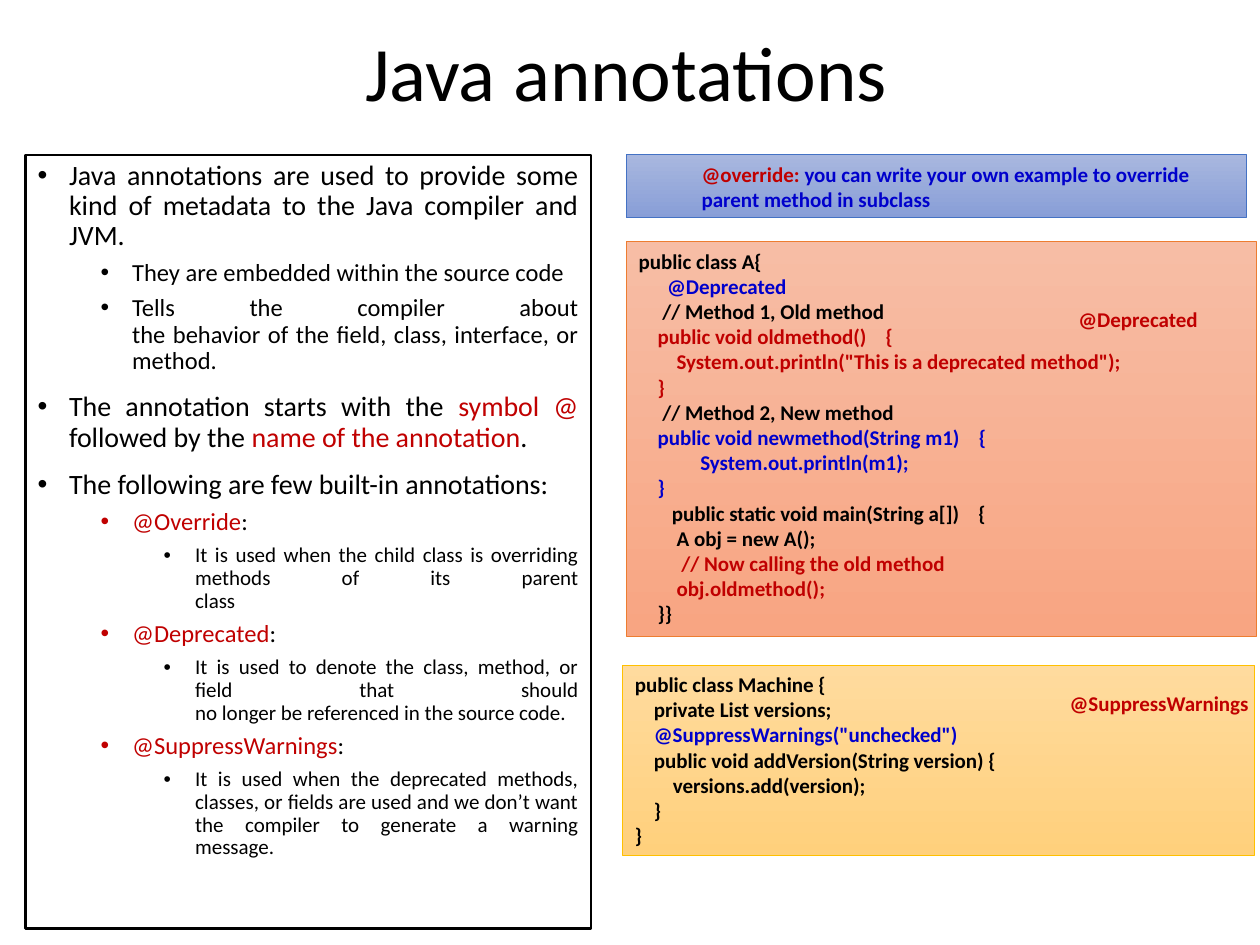
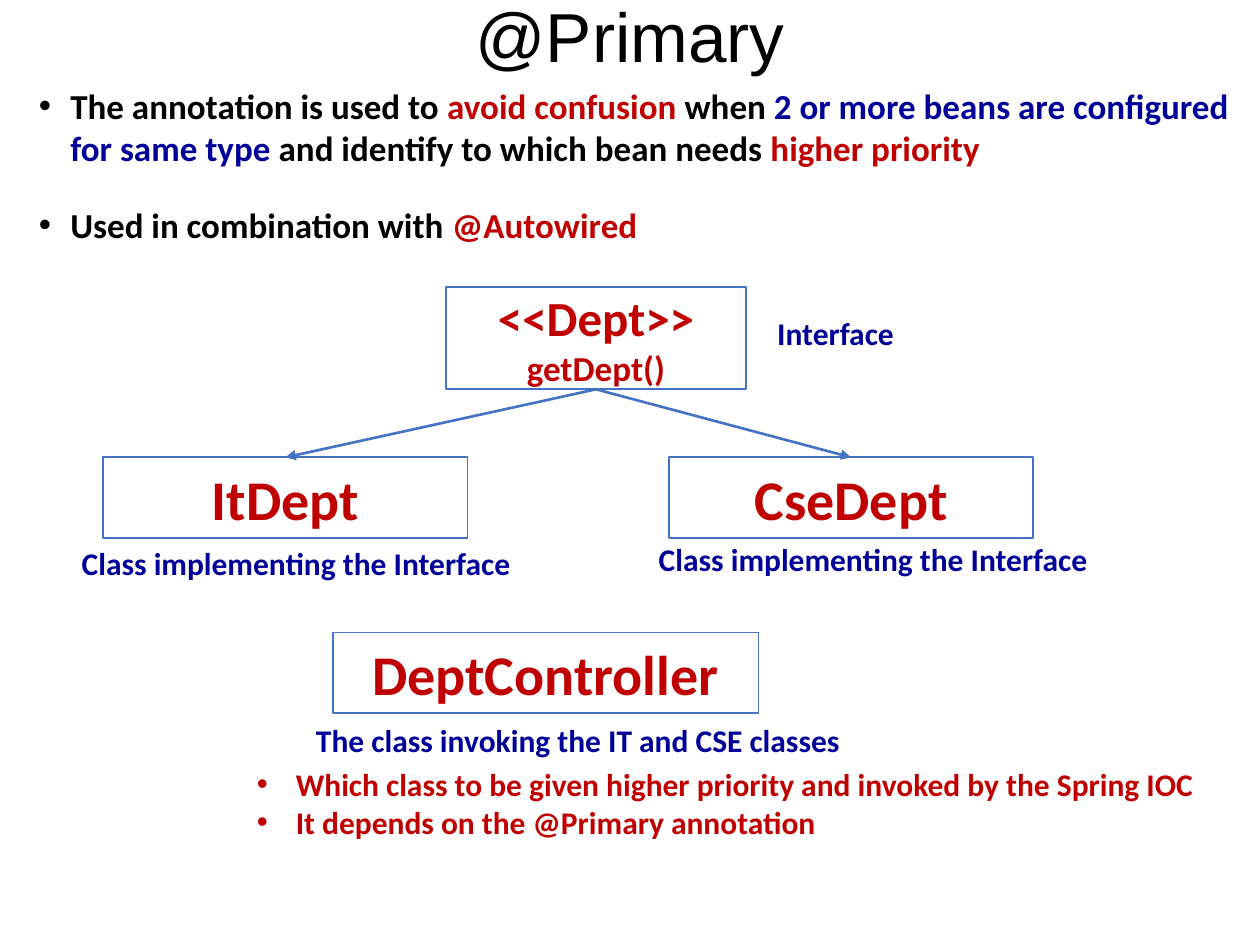
from dataclasses import dataclass
from lxml.etree import SubElement
from pptx import Presentation
from pptx.dml.color import RGBColor
from pptx.enum.shapes import MSO_CONNECTOR, MSO_SHAPE
from pptx.enum.text import MSO_ANCHOR, PP_ALIGN
from pptx.oxml.ns import qn
from pptx.util import Inches, Pt


@dataclass(frozen=True)
class Theme:
    font: str = "Calibri"
    black: str = "000000"
    white: str = "FFFFFF"
    red: str = "C00000"
    blue: str = "0000CC"
    navy: str = "000099"
    edge: str = "4472C4"
    sky: tuple = ("A8B7DF", "889ED7", "4472C4")
    coral: tuple = ("F7BDA5", "F8A582", "ED7D31")
    gold: tuple = ("FFDB9E", "FFD07C", "FFC000")
    levels: tuple = (16, 14, 12)
    code: int = 12
    note: int = 18
    lead: int = 20
    top: int = 28
    node: int = 32
    space: float = 0.0377  # width of one code space, inches


T = Theme()
K, R, B, N = T.black, T.red, T.blue, T.navy


# Shared text and shape helpers
def write(par, runs, size, bold=False, align=PP_ALIGN.LEFT, font=T.font):
    """Fill a paragraph; a newline in a run is a line break, a bar a wide gap."""
    par.alignment = align
    par.font.name, par.font.size, par.font.bold = font, Pt(size), bold
    if len({ink for _, ink in runs}) == 1:
        par.font.color.rgb = RGBColor.from_string(runs[0][1])
    for text, ink in runs:
        for i, line in enumerate(text.split("\n")):
            if i:
                par.add_line_break()
            for j, part in enumerate(line.split("|")):
                if j:
                    gap = par.add_run()
                    gap.text = " "
                    gap.font.size = Pt(size)
                    gap.font._element.set("spc", "800")
                run = par.add_run()
                run.text = part
                run.font.name, run.font.size, run.font.bold = font, Pt(size), bold
                run.font.color.rgb = RGBColor.from_string(ink)


def indent(par, left, hang=0.0):
    props = par._p.get_or_add_pPr()
    props.set("marL", str(Inches(left)))
    props.set("indent", str(-Inches(hang)))
    if hang:
        SubElement(props, qn("a:buFont")).set("typeface", "Arial")
        SubElement(props, qn("a:buChar")).set("char", "•")


def pars(frame, count):
    return [frame.paragraphs[0]] + [frame.add_paragraph() for _ in range(count - 1)]


def area(slide, box):
    frame = slide.shapes.add_textbox(*map(Inches, box)).text_frame
    frame.word_wrap = True
    return frame


def panel(slide, box, edge, width, fill=None, anchor=MSO_ANCHOR.TOP):
    """Rectangle with no fill, one colour, or a top-to-bottom gradient."""
    shape = slide.shapes.add_shape(MSO_SHAPE.RECTANGLE, *map(Inches, box))
    shape.shadow.inherit = False
    shape.line.color.rgb = RGBColor.from_string(edge)
    shape.line.width = Pt(width)
    if fill is None:
        shape.fill.background()
    elif isinstance(fill, str):
        shape.fill.solid()
        shape.fill.fore_color.rgb = RGBColor.from_string(fill)
    else:
        shape.fill.gradient()
        shape.fill.gradient_angle = 270
        for stop, ink in zip(shape.fill.gradient_stops, fill):
            stop.color.rgb = RGBColor.from_string(ink)
    shape.text_frame.word_wrap = True
    shape.text_frame.vertical_anchor = anchor
    return shape


def title(slide, box, text, size, font=T.font):
    frame = area(slide, box)
    frame.vertical_anchor = MSO_ANCHOR.MIDDLE
    par = frame.paragraphs[0]
    par.line_spacing = 0.9
    write(par, [(text, K)], size, align=PP_ALIGN.CENTER, font=font)


def label(slide, box, text, ink, size, left=0.0):
    par = area(slide, box).paragraphs[0]
    indent(par, left)
    write(par, [(text, ink)], size, True)


# Slide 1: outline on the left, code on the right
OUTLINE = [
    (0, [("Java annotations are used to provide some kind of metadata to the "
          "Java compiler and JVM.", K)]),
    (1, [("They are embedded within the source code", K)]),
    (1, [("Tells the compiler about\nthe behavior of the field, class, "
          "interface, or method.", K)]),
    (0, [("The annotation starts with the ", K), ("symbol @", R),
         (" followed by the ", K), ("name of the annotation", R), (".", K)]),
    (0, [("The following are few built-in annotations:", K)]),
    (1, [("@Override", R), (":", K)]),
    (2, [("It is used when the child class is overriding methods of its "
          "parent\nclass", K)]),
    (1, [("@Deprecated", R), (":", K)]),
    (2, [("It is used to denote the class, method, or field that should\n"
          "no longer be referenced in the source code.", K)]),
    (1, [("@SuppressWarnings", R), (":", K)]),
    (2, [("It is used when the deprecated methods, classes, or fields are used "
          "and we don’t want the compiler to generate a warning message.", K)]),
]

# Code lines: indent in spaces, colour, text
OLD = [
    (0, K, "public class A{"),
    (6, B, "@Deprecated"),
    (5, K, "// Method 1, Old method"),
    (4, R, "public void oldmethod()|{"),
    (8, R, 'System.out.println("This is a deprecated method");'),
    (4, R, "}"),
    (5, K, "// Method 2, New method"),
    (4, B, "public void newmethod(String m1)|{"),
    (13, B, "System.out.println(m1);"),
    (4, B, "}"),
    (7, K, "public static void main(String a[])|{"),
    (8, K, "A obj = new A();"),
    (9, R, "// Now calling the old method"),
    (8, R, "obj.oldmethod();"),
    (4, K, "}}"),
]
MACHINE = [
    (0, K, "public class Machine {"),
    (4, K, "private List versions;"),
    (4, B, '@SuppressWarnings("unchecked")'),
    (4, K, "public void addVersion(String version) {"),
    (8, K, "versions.add(version);"),
    (4, K, "}"),
    (0, K, "}"),
]


def outline(slide, box):
    frame = panel(slide, box, K, 1.5).text_frame
    for par, (level, runs) in zip(pars(frame, len(OUTLINE)), OUTLINE):
        par.level = level
        par.line_spacing = 0.9
        par.space_before = Pt(5 if level else 10)
        indent(par, 0.25 + 0.5 * level, 0.25)
        write(par, runs, T.levels[level], align=PP_ALIGN.JUSTIFY)


def listing(slide, box, look, lines, tag, spot):
    """Code panel with a tag at an offset from the panel's corner."""
    frame = panel(slide, box, look[2], 0.5, look[:2]).text_frame
    for par, (spaces, ink, text) in zip(pars(frame, len(lines)), lines):
        indent(par, spaces * T.space)
        write(par, [(text, ink)], T.code, True)
    x, y, width = spot
    label(slide, (box[0] + x, box[1] + y, width, 0.3), tag, R, T.code, 0.5)


def banner(slide, box):
    par = panel(slide, box, T.sky[2], 0.5, T.sky[:2]).text_frame.paragraphs[0]
    indent(par, 0.5)
    write(par, [("@override: ", R), ("you can write your own example to "
          "override parent method in subclass", B)], T.code, True)


def notes(slide):
    title(slide, (0.47, -0.02, 9, 1.25), "Java annotations", 44)
    outline(slide, (0.2, 1.23, 4.49, 6.14))
    banner(slide, (4.97, 1.23, 4.92, 0.5))
    listing(slide, (4.97, 1.92, 5, 3.13), T.coral, OLD,
            "@Deprecated", (2.99, 0.46, 1.75))
    listing(slide, (4.94, 5.28, 5.02, 1.51), T.gold, MACHINE,
            "@SuppressWarnings", (2.95, 0.15, 2.15))


# Slide 2: lead text, class diagram, closing points
LEAD = [
    [("The annotation is used to ", K), ("avoid confusion ", R), ("when ", K),
     ("2 or more beans are configured for same type ", N),
     ("and identify to which bean needs ", K), ("higher priority", R)],
    [("Used in combination with ", K), ("@Autowired", R)],
]
POINTS = [
    [("Which class to be given higher priority and invoked by the Spring IOC", R)],
    [("It depends on the @Primary annotation", R)],
]


def bullets(slide, box, items, size, hang, gap=0):
    for par, runs in zip(pars(area(slide, box), len(items)), items):
        par.space_before = par.space_after = Pt(gap)
        indent(par, hang, hang)
        write(par, runs, size, True)


def node(slide, box, rows):
    shape = panel(slide, box, T.edge, 1, T.white, MSO_ANCHOR.MIDDLE)
    for par, (text, size) in zip(pars(shape.text_frame, len(rows)), rows):
        write(par, [(text, R)], size, True, PP_ALIGN.CENTER)
    return shape


def arrow(slide, start, end):
    link = slide.shapes.add_connector(MSO_CONNECTOR.STRAIGHT, 0, 0, 0, 0)
    link.begin_connect(start, 2)
    link.end_connect(end, 0)
    link.line.color.rgb = RGBColor.from_string(T.edge)
    link.line.width = Pt(1.5)
    SubElement(link.line._get_or_add_ln(), qn("a:tailEnd")).set("type", "triangle")
    SubElement(link._element.spPr, qn("a:effectLst"))


def diagram(slide, x, y):
    """Interface over two classes, with the controller below."""
    root = node(slide, (x + 2.72, y, 2.38, 0.81),
                [("<<Dept>>", T.top), ("getDept()", T.lead)])
    for name, left in (("ItDept", 0), ("CseDept", 4.49)):
        leaf = node(slide, (x + left, y + 1.35, 2.89, 0.64), [(name, T.node)])
        arrow(slide, root, leaf)
    node(slide, (x + 1.82, y + 2.74, 3.38, 0.64), [("DeptController", T.node)])
    child = "Class implementing the Interface"
    for left, top, width, text in (
            (5.25, 0.16, 1.21, "Interface"),
            (-0.27, 1.99, 3.74, child),
            (4.31, 1.96, 3.74, child),
            (1.59, 3.39, 4.6, "The class invoking the IT and CSE classes")):
        label(slide, (x + left, y + top, width, 0.4), text, N, T.note)


def primary(slide):
    title(slide, (0.69, 0.17, 8.62, 0.29), "@Primary", 39.6, "Arial")
    bullets(slide, (0.21, 0.62, 9.84, 1.56), LEAD, T.lead, 0.25, 10)
    diagram(slide, 0.82, 2.28)
    bullets(slide, (1.94, 6.02, 7.8, 0.71), POINTS, T.note, 0.31)


def main():
    deck = Presentation()
    deck.slide_width, deck.slide_height = Inches(10), Inches(7.5)
    for build in (notes, primary):
        build(deck.slides.add_slide(deck.slide_layouts[6]))
    deck.save("out.pptx")


if __name__ == "__main__":
    main()
